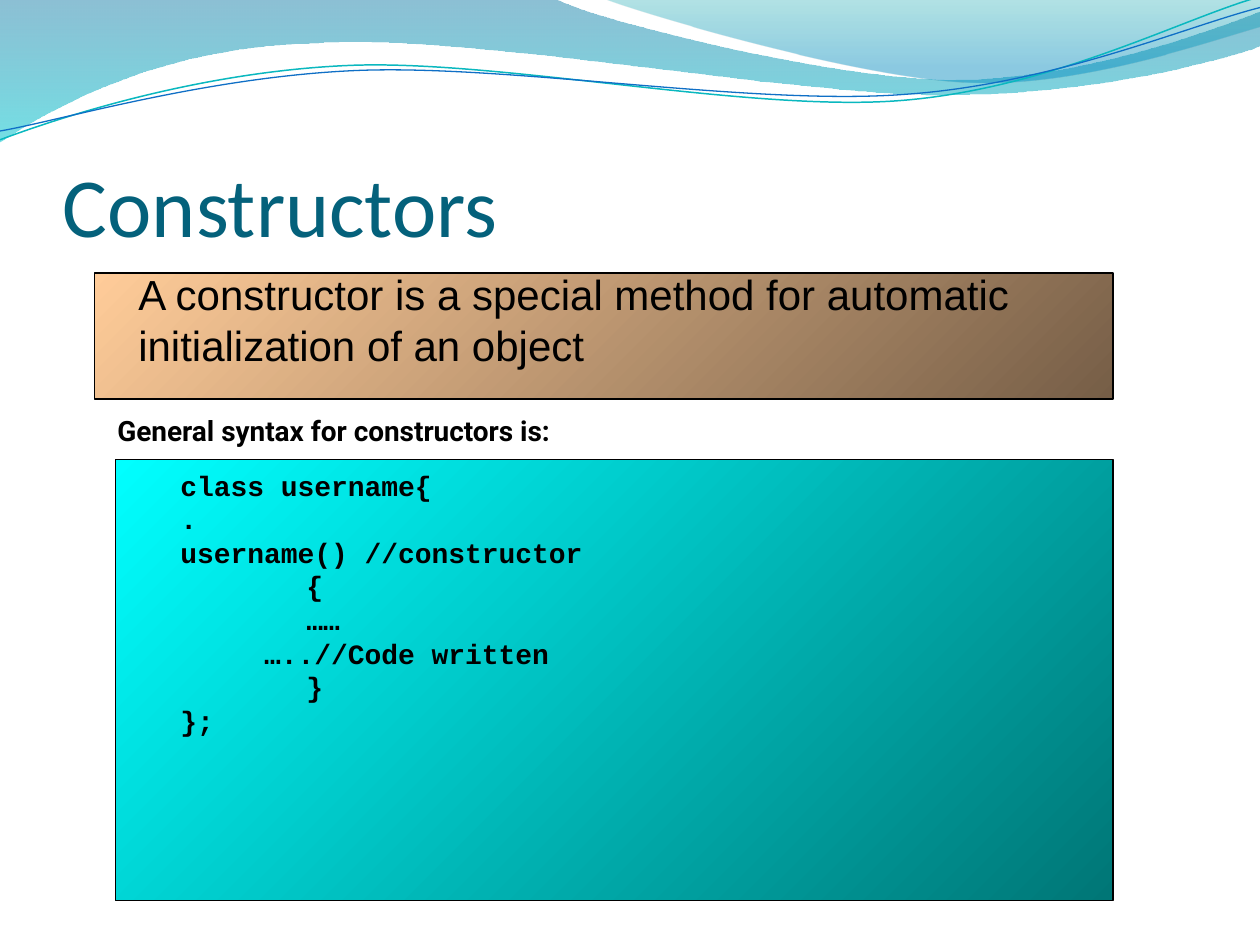
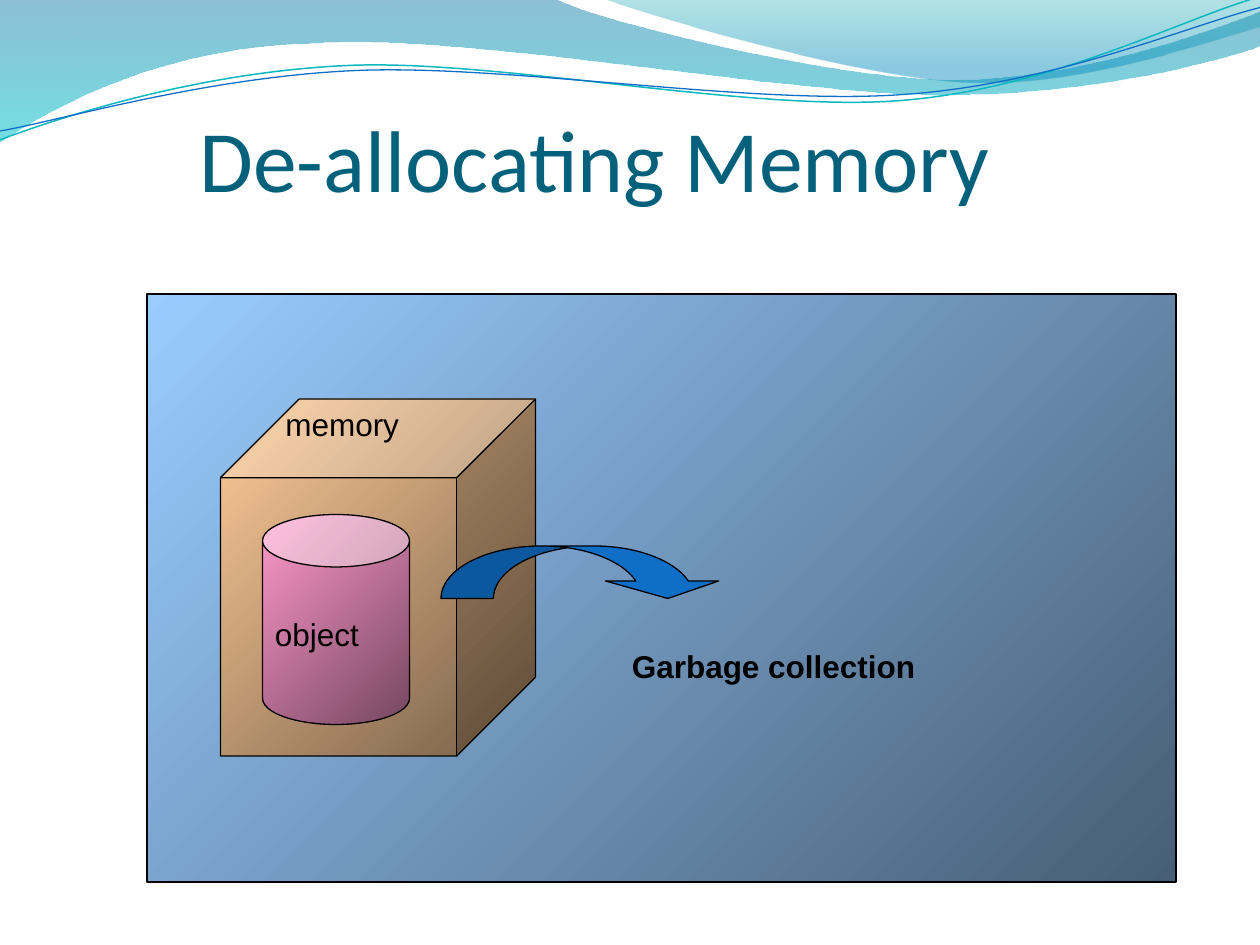
from dataclasses import dataclass
from typing import Optional

from lxml import etree
from pptx import Presentation
from pptx.dml.color import RGBColor
from pptx.enum.shapes import MSO_SHAPE
from pptx.enum.text import MSO_ANCHOR
from pptx.oxml.ns import qn
from pptx.util import Inches, Pt

RECTANGLE = MSO_SHAPE.RECTANGLE
CUBE = MSO_SHAPE.CUBE
CAN = MSO_SHAPE.CAN
CURVED_ARROW = MSO_SHAPE.CURVED_DOWN_ARROW
TOP, BOTTOM = MSO_ANCHOR.TOP, MSO_ANCHOR.BOTTOM

WIDTH, HEIGHT = Inches(10), Inches(7.5)
COLUMN, ROW = WIDTH / 120, HEIGHT / 90
TENTH = WIDTH / 10  # unit of the wave points, in both directions
TAB_COLUMNS = 12


@dataclass(frozen=True)
class Theme:
    title: str = "04617B"
    ink: str = "000000"
    arrow: str = "0F6FC6"
    teal_line: str = "0AB8BF"
    tan: tuple = ("FFCC99", "765E47")
    cyan: tuple = ("00FFFF", "007676")
    blue: tuple = ("99CCFF", "475E76")
    pink: tuple = ("FF99CC", "764760")
    title_font: str = "Calibri"
    body_font: str = "Arial"
    code_font: str = "Courier New"
    syntax_font: str = "Roboto"
    title_size: int = 48
    wide_title_size: int = 50
    statement_size: int = 24
    label_size: int = 18
    code_size: int = 16
    outline: float = 0.75


THEME = Theme()


@dataclass(frozen=True)
class Box:
    """A place on the grid, in columns and rows."""
    left: float
    top: float
    width: float
    height: float

    def lengths(self) -> tuple:
        return (round(self.left * COLUMN), round(self.top * ROW),
                round(self.width * COLUMN), round(self.height * ROW))


@dataclass(frozen=True)
class Block:
    kind: int
    box: Box
    fill: tuple
    adjustments: tuple = ()


@dataclass(frozen=True)
class Label:
    lines: tuple
    box: Box
    size: float = THEME.label_size
    font: str = THEME.body_font
    color: str = THEME.ink
    bold: bool = False


@dataclass(frozen=True)
class Stop:
    color: str
    position: float
    opacity: int


@dataclass(frozen=True)
class Wave:
    """Segments hold one end point (straight) or three points (curve)."""
    start: tuple
    segments: tuple
    stops: tuple = ()
    line: Optional[str] = None
    line_width: float = 0


WAVES = (
    Wave((0, 0), (
        ((4.4, -0.01),),
        ((4.76, 0.17), (6.64, 0.63), (7.58, 0.63)),
        ((8.53, 0.63), (9.58, 0.26), (10, 0.09)),
        ((10.01, 0.36),),
        ((9.83, 0.44), (8.7, 0.76), (7.46, 0.75)),
        ((6.22, 0.75), (3.82, 0.28), (2.57, 0.34)),
        ((1.29, 0.36), (0.46, 0.83), (-0.01, 1.13)),
    ), stops=(Stop("0074A1", 0, 45), Stop("00C6CF", 1, 55))),
    Wave((4.79, -0.01), (
        ((5.09, 0.11), (6.82, 0.62), (7.69, 0.65)),
        ((8.56, 0.69), (9.61, 0.32), (10, 0.21)),
        ((10, 0),),
    ), stops=(Stop("00A1A9", 0, 30), Stop("008BBF", 0.8, 45))),
    Wave((0, 1.11), (
        ((0.48, 0.93), (1.58, 0.57), (2.77, 0.52)),
        ((3.95, 0.47), (5.93, 0.89), (7.13, 0.8)),
        ((8.33, 0.71), (9.38, 0.15), (9.98, -0.02)),
    ), line=THEME.teal_line, line_width=0.85),
    Wave((0, 1.04), (
        ((0.47, 0.96), (1.64, 0.61), (2.83, 0.56)),
        ((4.03, 0.51), (5.97, 0.84), (7.17, 0.75)),
        ((8.36, 0.67), (9.41, 0.21), (10, 0.06)),
    ), line=THEME.arrow, line_width=0.75),
)

CODE = (
    "class username{",
    ".",
    "username() //constructor",
    "\t{",
    "\t……",
    "     …..//Code written",
    "\t}",
    "};",
)


def rgb(color: str) -> RGBColor:
    return RGBColor.from_string(color)


def fill_gradient(shape, stops: tuple, clockwise_angle: float) -> None:
    shape.fill.gradient()
    shape.fill.gradient_angle = 360 - clockwise_angle
    for gradient_stop, stop in zip(shape.fill.gradient_stops, stops):
        gradient_stop.color.rgb = rgb(stop.color)
        gradient_stop.position = stop.position
    if any(stop.opacity < 100 for stop in stops):
        colors = shape.fill._xPr.iter(qn("a:srgbClr"))
        for color, stop in zip(colors, stops):
            etree.SubElement(color, qn("a:alpha")).set("val", str(stop.opacity * 1000))


def on_slide(point: tuple) -> tuple:
    return tuple(round(value * TENTH) for value in point)


def bend_segments(shape, segments: tuple) -> None:
    """Turn the straight steps of a freeform into curves where asked."""
    steps = list(shape._element.iter(qn("a:lnTo")))
    for step, segment in zip(steps, segments):
        if len(segment) == 1:
            continue
        curve = etree.Element(qn("a:cubicBezTo"))
        for point in segment:
            x, y = on_slide(point)
            corner = etree.SubElement(curve, qn("a:pt"))
            corner.set("x", str(x - shape.left))
            corner.set("y", str(y - shape.top))
        step.getparent().replace(step, curve)


def draw_wave(slide, wave: Wave) -> None:
    builder = slide.shapes.build_freeform(*on_slide(wave.start))
    ends = [on_slide(segment[-1]) for segment in wave.segments]
    builder.add_line_segments(ends, close=bool(wave.stops))
    shape = builder.convert_to_shape()
    bend_segments(shape, wave.segments)
    shape.shadow.inherit = False
    if wave.stops:
        fill_gradient(shape, wave.stops, 90)
        shape.line.fill.background()
    else:
        shape.fill.background()
        shape.line.color.rgb = rgb(wave.line)
        shape.line.width = Pt(wave.line_width)


def draw_block(slide, block: Block) -> None:
    shape = slide.shapes.add_shape(block.kind, *block.box.lengths())
    shape.shadow.inherit = False
    for index, value in enumerate(block.adjustments):
        shape.adjustments[index] = value
    if len(block.fill) == 1:
        shape.fill.solid()
        shape.fill.fore_color.rgb = rgb(block.fill[0])
    else:
        stops = tuple(Stop(color, position, 100)
                      for position, color in enumerate(block.fill))
        fill_gradient(shape, stops, 45)
    shape.line.color.rgb = rgb(THEME.ink)
    shape.line.width = Pt(THEME.outline)


def add_tab_stop(paragraph) -> None:
    properties = paragraph._p.get_or_add_pPr()
    tabs = etree.SubElement(properties, qn("a:tabLst"))
    tab = etree.SubElement(tabs, qn("a:tab"))
    tab.set("pos", str(round(TAB_COLUMNS * COLUMN)))
    tab.set("algn", "l")


def draw_label(slide, label: Label, anchor=TOP):
    frame = slide.shapes.add_textbox(*label.box.lengths()).text_frame
    frame.word_wrap = True
    frame.vertical_anchor = anchor
    paragraph = frame.paragraphs[0]
    if any("\t" in line for line in label.lines):
        add_tab_stop(paragraph)
    paragraph.font.size = Pt(label.size)
    for index, line in enumerate(label.lines):
        if index:
            paragraph.add_line_break()
        run = paragraph.add_run()
        run.text = line
        run.font.name = label.font
        run.font.size = Pt(label.size)
        run.font.bold = label.bold
        run.font.color.rgb = rgb(label.color)
    return frame


def draw_title(slide, text: str, box: Box, size: float) -> None:
    label = Label((text,), box, size, THEME.title_font, THEME.title)
    frame = draw_label(slide, label, BOTTOM)
    frame.margin_left = frame.margin_right = frame.margin_bottom = 0


def add_slide(presentation, title: str, title_box: Box, title_size: float, parts: tuple) -> None:
    slide = presentation.slides.add_slide(presentation.slide_layouts[6])
    for wave in WAVES:
        draw_wave(slide, wave)
    draw_title(slide, title, title_box, title_size)
    for part in parts:
        if isinstance(part, Block):
            draw_block(slide, part)
        else:
            draw_label(slide, part)


CONSTRUCTORS = (
    Block(RECTANGLE, Box(9, 26, 97, 12), THEME.tan),
    Label(("A constructor is a special method for automatic initialization of an object",),
          Box(12, 25, 101, 10.9), THEME.statement_size),
    Block(RECTANGLE, Box(11, 43.8, 95, 42), THEME.cyan),
    Label(CODE, Box(16, 44, 63, 27.1), THEME.code_size, THEME.code_font, bold=True),
    Label(("General syntax for constructors is:",), Box(10, 38.8, 73, 4.4),
          THEME.code_size, THEME.syntax_font, bold=True),
)

MEMORY = (
    Block(RECTANGLE, Box(14, 28, 98, 56), THEME.blue),
    Block(CUBE, Box(21, 38, 30, 34), THEME.tan, (0.25,)),
    Label(("memory",), Box(26, 38, 18, 6)),
    Block(CAN, Box(25, 49, 14, 20), THEME.pink, (0.357,)),
    Label(("object",), Box(25, 58, 14, 6)),
    Block(CURVED_ARROW, Box(42, 52, 27, 5), (THEME.arrow,), (1.08, 2.16, 0.333)),
    Label(("Garbage collection",), Box(59, 61, 48, 6), bold=True),
)


def main() -> None:
    presentation = Presentation()
    presentation.slide_width, presentation.slide_height = WIDTH, HEIGHT
    add_slide(presentation, "Constructors", Box(6, 9.2, 109, 15),
              THEME.title_size, CONSTRUCTORS)
    add_slide(presentation, "De-allocating Memory", Box(19, 8.8, 81, 11.2),
              THEME.wide_title_size, MEMORY)
    presentation.save("out.pptx")


if __name__ == "__main__":
    main()
